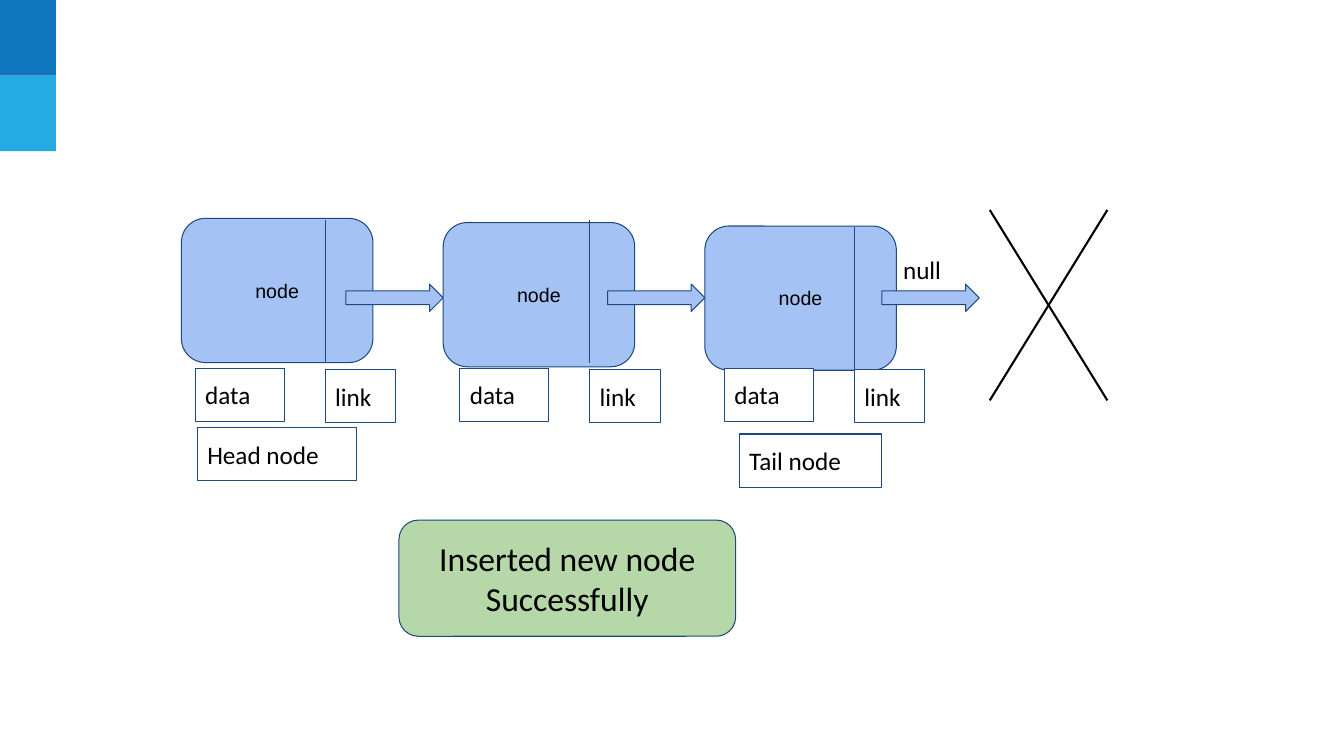
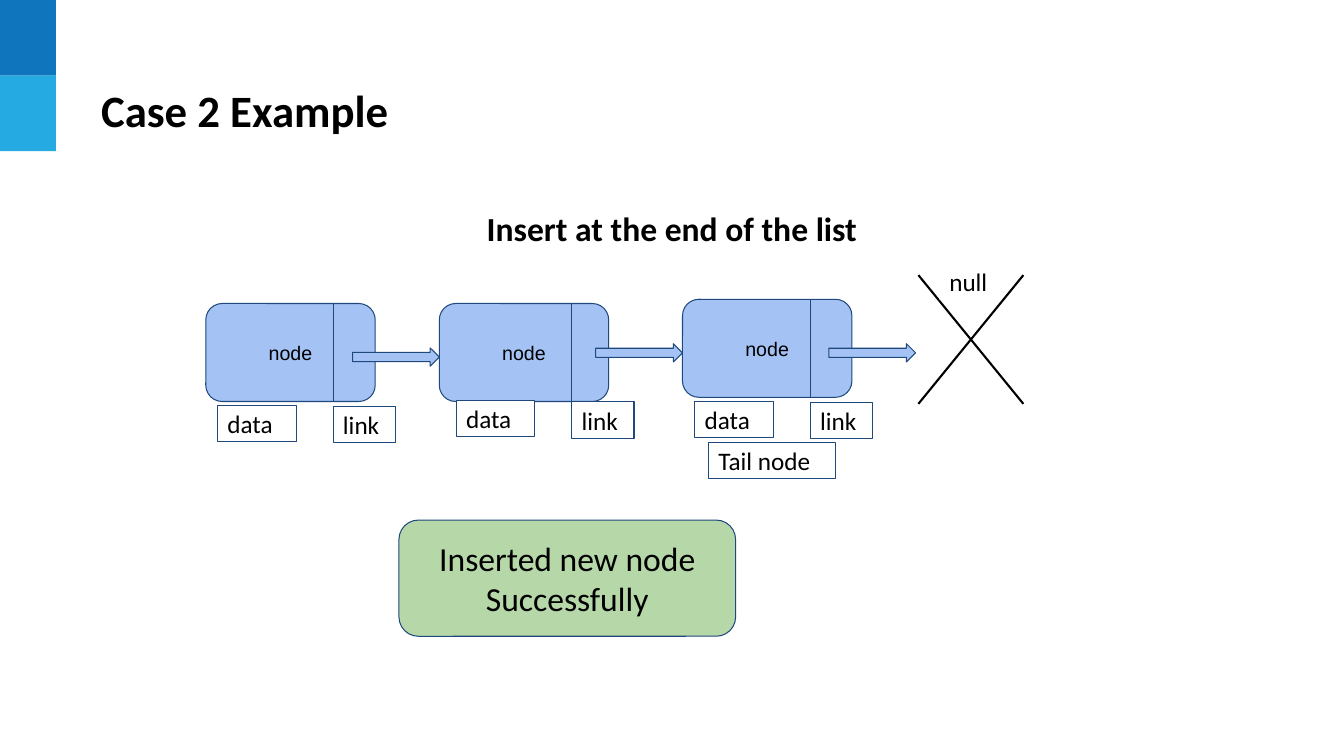
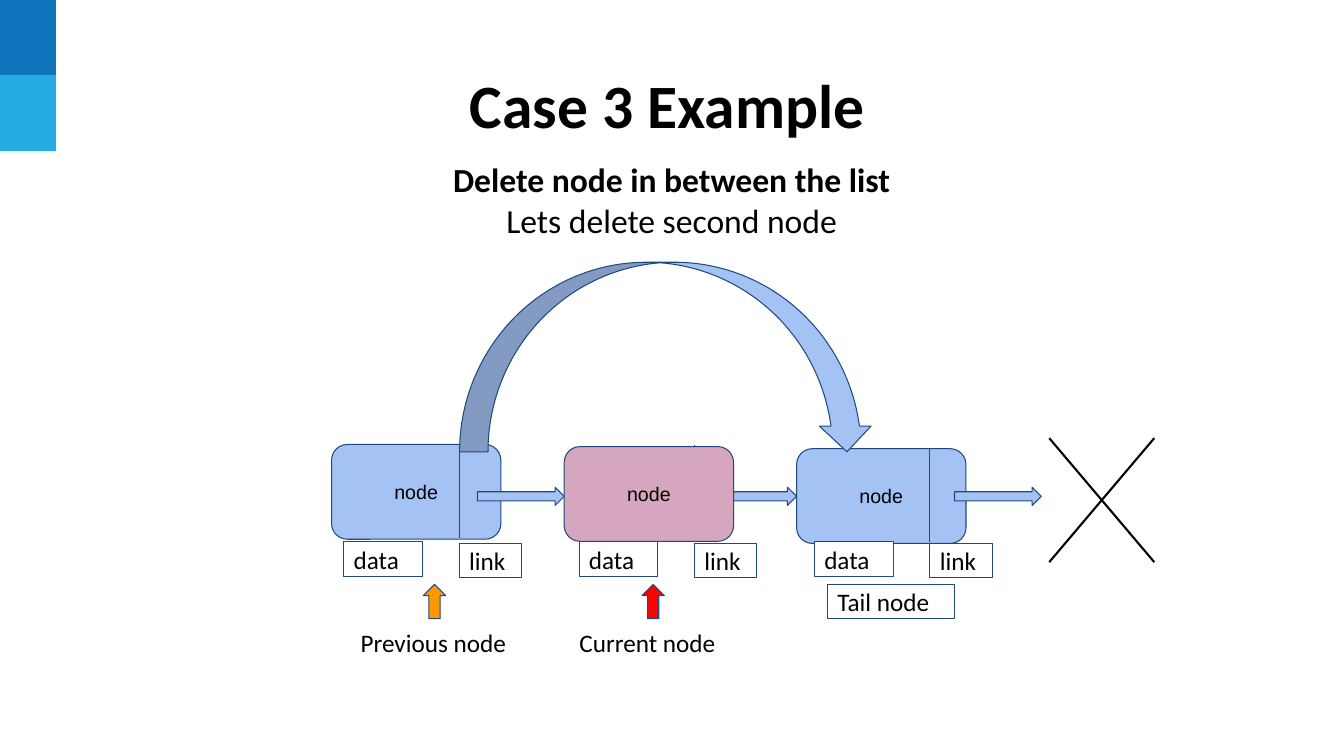
"""Build three slides on inserting and deleting linked-list nodes."""
from dataclasses import dataclass

from lxml import etree
from pptx import Presentation
from pptx.dml.color import RGBColor
from pptx.enum import shapes, text
from pptx.oxml import ns
from pptx.util import Pt

BLACK = RGBColor(0x00, 0x00, 0x00)
WHITE = RGBColor(0xFF, 0xFF, 0xFF)
NAVY = RGBColor(0x1F, 0x49, 0x7D)
BAND_DARK = RGBColor(0x0F, 0x75, 0xBD)
BAND_LIGHT = RGBColor(0x25, 0xAA, 0xE2)
NODE_BLUE = RGBColor(0xA4, 0xC2, 0xF4)
DELETED_PINK = RGBColor(0xD5, 0xA6, 0xBD)
SUCCESS_GREEN = RGBColor(0xB6, 0xD7, 0xA8)
ORANGE = RGBColor(0xFF, 0x99, 0x00)
RED = RGBColor(0xFF, 0x00, 0x00)

SHAPE = shapes.MSO_SHAPE
LEFT, CENTER = text.PP_ALIGN.LEFT, text.PP_ALIGN.CENTER
TOP, MIDDLE = text.MSO_ANCHOR.TOP, text.MSO_ANCHOR.MIDDLE
INSET = 7.2


@dataclass
class Node:
    """Position of one node and of the parts that hang on it."""
    x: float
    y: float
    divider_y: float
    label_y: float
    arrow_y: float
    deleted: bool = False


@dataclass
class Chain:
    """Sizes and spacing shared by the nodes of one list."""
    nodes: list
    node_size: tuple
    divider_h: float
    arrow_size: tuple
    last_arrow_x: float
    label_x: float
    label_pitch: float
    link_offset: float
    data_w: float
    link_w: float
    label_h: float


def write(shape, lines, size=18, font="Calibri", bold=False, align=LEFT,
          anchor=MIDDLE, inset_y=INSET):
    """Fill a shape with text; bold applies to the first line only."""
    tf = shape.text_frame
    tf.word_wrap = True
    tf.auto_size = text.MSO_AUTO_SIZE.NONE
    tf.vertical_anchor = anchor
    tf.margin_left = tf.margin_right = Pt(INSET)
    tf.margin_top = tf.margin_bottom = Pt(inset_y)
    for i, line in enumerate(lines.split("\n")):
        p = tf.add_paragraph() if i else tf.paragraphs[0]
        p.alignment = align
        r = p.add_run()
        r.text = line
        r.font.size = Pt(size)
        r.font.name = font
        r.font.bold = bold and i == 0
        r.font.color.rgb = BLACK


def add_box(s, kind, x, y, w, h, fill, line=NAVY, adjust=()):
    """Add a filled preset shape."""
    sp = s.shapes.add_shape(kind, Pt(x), Pt(y), Pt(w), Pt(h))
    sp.shadow.inherit = False
    sp.fill.solid()
    sp.fill.fore_color.rgb = fill
    if line is None:
        sp.line.fill.background()
    else:
        sp.line.color.rgb = line
        sp.line.width = Pt(0.75)
    for i, value in enumerate(adjust):
        sp.adjustments[i] = value
    return sp


def add_line(s, x1, y1, x2, y2, color=NAVY, width=0.75):
    """Add a straight line without a shadow."""
    c = s.shapes.add_connector(shapes.MSO_CONNECTOR.STRAIGHT,
                               Pt(x1), Pt(y1), Pt(x2), Pt(y2))
    c.line.color.rgb = color
    c.line.width = Pt(width)
    etree.SubElement(c.element.spPr, ns.qn("a:effectLst"))


def add_label(s, words, x, y, w, h, line=NAVY):
    """Add a white label box."""
    write(add_box(s, SHAPE.RECTANGLE, x, y, w, h, WHITE, line), words)


def add_node(s, chain, node):
    """Add the rounded box of one node."""
    fill = DELETED_PINK if node.deleted else NODE_BLUE
    sp = add_box(s, SHAPE.ROUNDED_RECTANGLE, node.x, node.y,
                 *chain.node_size, fill)
    write(sp, "node", size=14, font="Arial", align=CENTER)


def add_chain(s, chain):
    """Draw nodes with dividers, arrows and labels; a deleted node hides its link."""
    arrow_w, arrow_h = chain.arrow_size
    arrow_xs = [n.x - arrow_w for n in chain.nodes[1:]] + [chain.last_arrow_x]
    for i, (node, arrow_x) in enumerate(zip(chain.nodes, arrow_xs)):
        data_x = chain.label_x + i * chain.label_pitch
        link_x = data_x + chain.link_offset
        if not node.deleted:
            add_node(s, chain, node)
        add_line(s, link_x, node.divider_y, link_x,
                 node.divider_y + chain.divider_h)
        add_box(s, SHAPE.RIGHT_ARROW, arrow_x, node.arrow_y,
                arrow_w, arrow_h, NODE_BLUE)
        if node.deleted:
            add_node(s, chain, node)
        add_label(s, "data", data_x, node.label_y, chain.data_w, chain.label_h)
        add_label(s, "link", link_x, node.label_y + 1, chain.link_w, chain.label_h)


def add_cross(s, x, y, w, h):
    """Draw the cross that marks the end of the list."""
    add_line(s, x + w, y, x, y + h, BLACK, 1.5)
    add_line(s, x + w, y + h, x, y, BLACK, 1.5)


def add_success(s):
    """Add the green result box."""
    sp = add_box(s, SHAPE.ROUNDED_RECTANGLE, 285, 371.5, 240.5, 83, SUCCESS_GREEN)
    write(sp, "Inserted new node Successfully", size=24, align=CENTER)


def add_caption(s, lines, x, y, w, h):
    """Add a centred caption whose first line is bold."""
    sp = s.shapes.add_textbox(Pt(x), Pt(y), Pt(w), Pt(h))
    write(sp, lines, size=24, bold=True, align=CENTER, anchor=TOP)


def set_title(s, words, x, y, w, size, align=LEFT):
    """Place and format the title placeholder."""
    t = s.shapes.title
    t.left, t.top, t.width, t.height = Pt(x), Pt(y), Pt(w), Pt(65)
    write(t, words, size=size, bold=True, align=align, inset_y=3.6)


def add_master_bands(prs, s):
    """Draw the two corner bands and move them to the master."""
    for i, color in enumerate((BAND_DARK, BAND_LIGHT)):
        band = add_box(s, SHAPE.RECTANGLE, 0, i * 54, 40, 54, color, None)
        prs.slide_master.shapes.element.append(band.element)


def build_insert_result(s):
    """Build the list with head and tail after an insertion."""
    add_label(s, "null", 638, 173.5, 50.4, 38.2, None)
    add_chain(s, Chain(
        nodes=[Node(129.6, 156, 157.5, 263, 203),
               Node(316.6, 159, 157.5, 263, 203),
               Node(503.5, 161.5, 162, 263, 203)],
        node_size=(136.8, 103), divider_h=101.5,
        arrow_size=(69.5, 19.5), last_arrow_x=630,
        label_x=139.5, label_pitch=189, link_offset=92.8,
        data_w=63.4, link_w=50.4, label_h=38))
    add_label(s, "Head node", 141, 305.5, 114, 38)
    add_label(s, "Tail node", 528, 310, 102, 38)
    add_cross(s, 707, 150, 84, 136)
    add_success(s)


def build_insert_end(s):
    """Build the insertion at the end of the list."""
    set_title(s, "Case 2 Example", 65, 46, 685.5, 32)
    add_caption(s, "Insert at the end of the list", 114.5, 141, 731, 44)
    add_chain(s, Chain(
        nodes=[Node(147, 216.8, 217.5, 289.4, 248.5),
               Node(313.8, 216.8, 217.5, 286, 245.5),
               Node(487.5, 213.8, 214.5, 286.5, 245.5)],
        node_size=(121, 70), divider_h=69,
        arrow_size=(62, 13), last_arrow_x=592,
        label_x=155.4, label_pitch=170.4, link_offset=82.5,
        data_w=56.2, link_w=44.6, label_h=26))
    add_label(s, "Tail node", 506, 316, 91, 26)
    add_cross(s, 656, 196.5, 75, 92)
    add_label(s, "null", 671, 188, 44.6, 26, None)
    add_success(s)


def build_delete_middle(s):
    """Build the deletion of the second node."""
    set_title(s, "Case 3 Example", 149.5, 41.5, 654.5, 44, CENTER)
    add_chain(s, Chain(
        nodes=[Node(236.8, 317.5, 318, 387, 348),
               Node(403, 319, 318, 387, 348, deleted=True),
               Node(569, 320.5, 321, 387, 348)],
        node_size=(121, 67.7), divider_h=66.3,
        arrow_size=(62, 13), last_arrow_x=681.8,
        label_x=245.5, label_pitch=168.1, link_offset=82.5,
        data_w=56.2, link_w=44.6, label_h=24.5))
    add_label(s, "Tail node", 591, 417.5, 91, 24.5)
    add_cross(s, 749.5, 313, 75, 88.5)
    pointers = (("Previous node", ORANGE, 250.5, 302.4),
                ("Current node", RED, 406.8, 458.6))
    for words, color, label_x, arrow_x in pointers:
        add_box(s, SHAPE.UP_ARROW, arrow_x, 417.5, 16, 24.5, color)
        add_label(s, words, label_x, 446.5, 121, 24.5, None)
    add_box(s, SHAPE.CURVED_DOWN_ARROW, 328.3, 187.3, 295.2, 135.4, NODE_BLUE,
            adjust=(0.15, 0.273, 0.136))
    add_caption(s, "Delete node in between the list\nLets delete second node",
                277, 106.5, 405.5, 73)


def main():
    """Build and save the presentation."""
    prs = Presentation()
    prs.slide_width, prs.slide_height = Pt(960), Pt(540)
    title_only, blank = prs.slide_layouts[5], prs.slide_layouts[6]
    pages = ((blank, build_insert_result),
             (title_only, build_insert_end),
             (title_only, build_delete_middle))
    for layout, build in pages:
        build(prs.slides.add_slide(layout))
    add_master_bands(prs, prs.slides[0])
    prs.save("out.pptx")


if __name__ == "__main__":
    main()
